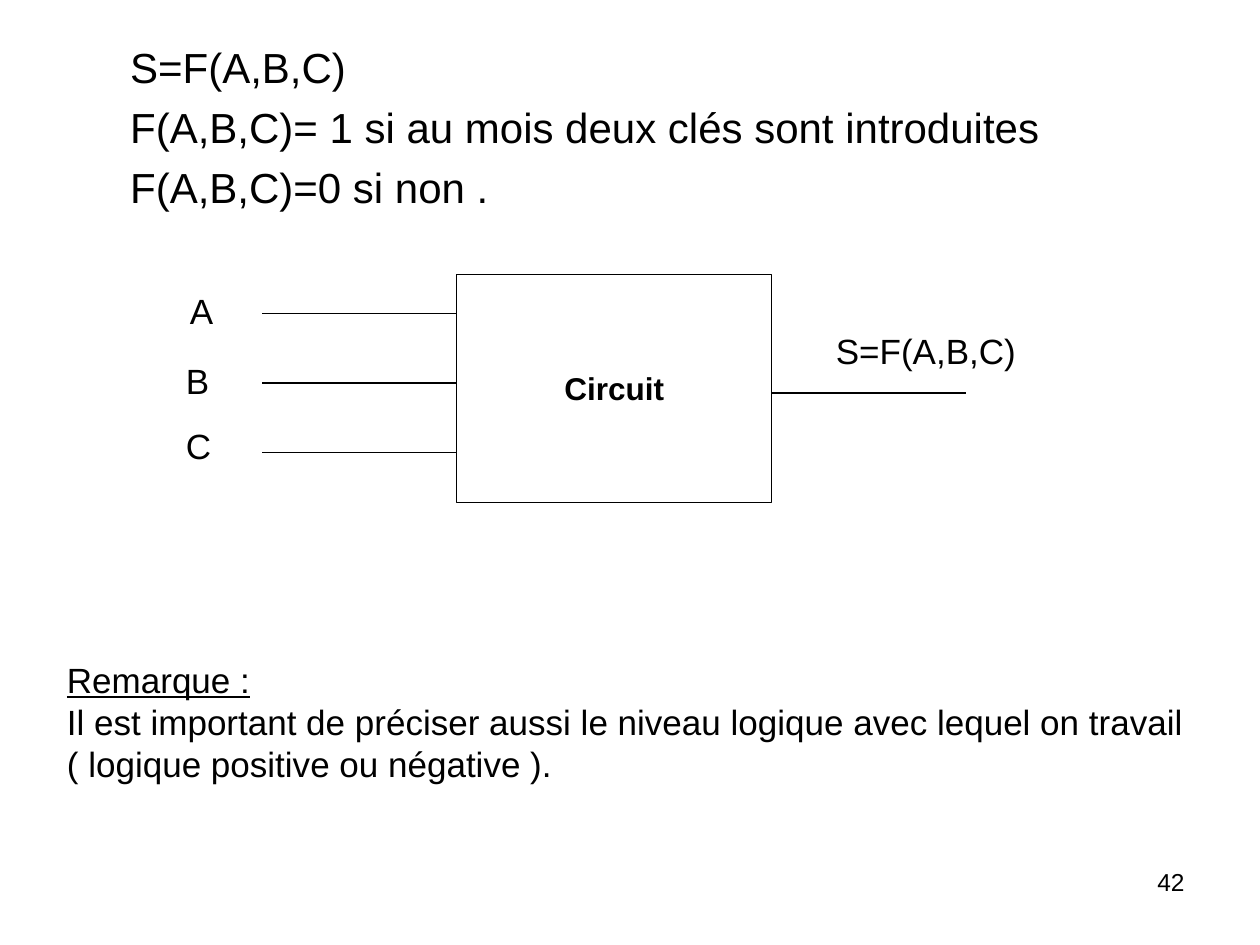
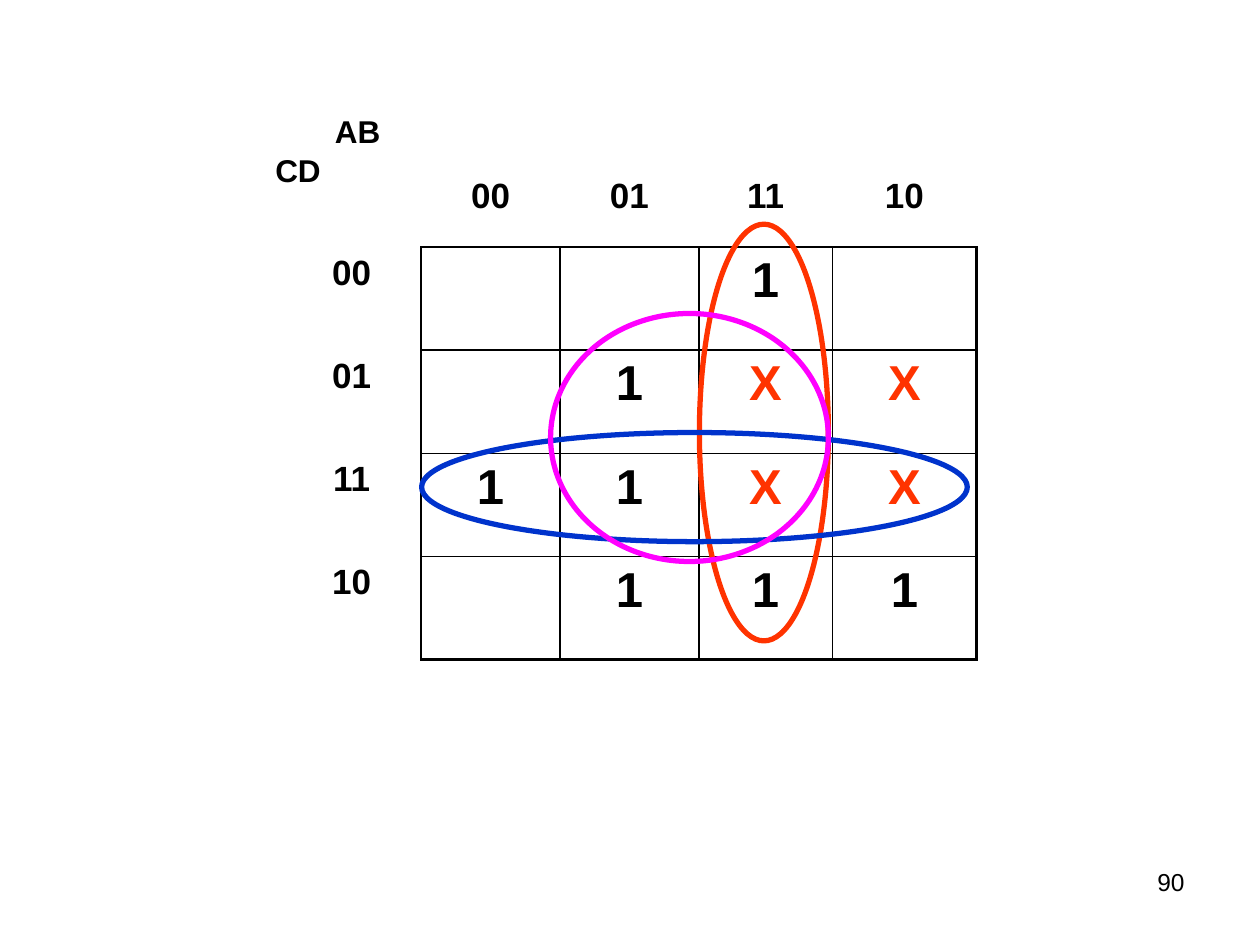
from dataclasses import dataclass

from lxml import etree
from pptx import Presentation
from pptx.dml.color import RGBColor
from pptx.enum.shapes import MSO_CONNECTOR, MSO_SHAPE
from pptx.enum.text import MSO_ANCHOR, PP_ALIGN
from pptx.oxml.ns import qn
from pptx.util import Cm, Pt

LEFT, CENTER, RIGHT = PP_ALIGN.LEFT, PP_ALIGN.CENTER, PP_ALIGN.RIGHT
MIDDLE = MSO_ANCHOR.MIDDLE
STRAIGHT = MSO_CONNECTOR.STRAIGHT
RECTANGLE, OVAL = MSO_SHAPE.RECTANGLE, MSO_SHAPE.OVAL


@dataclass(frozen=True)
class Theme:
    font: str = "Arial"
    ink: RGBColor = RGBColor(0x00, 0x00, 0x00)
    orange: RGBColor = RGBColor(0xFF, 0x33, 0x00)
    blue: RGBColor = RGBColor(0x00, 0x33, 0xCC)
    magenta: RGBColor = RGBColor(0xFF, 0x00, 0xFF)
    value: int = 28
    body: int = 24
    label: int = 20
    caption: int = 18
    footer: int = 14
    wire: float = 0.75
    grid: float = 1
    frame: float = 2.25
    loop: float = 3


theme = Theme()


def write(text_frame, text, size, bold=False, align=LEFT, color=theme.ink):
    text_frame.text = text
    for paragraph in text_frame.paragraphs:
        paragraph.alignment = align
        paragraph.font.name = theme.font
        paragraph.font.size = Pt(size)
        paragraph.font.bold = bold
        paragraph.font.color.rgb = color


def add_label(slide, text, left, top, width, height, size, bold=False,
              align=LEFT, wrap=True):
    frame = slide.shapes.add_textbox(
        Cm(left), Cm(top), Cm(width), Cm(height)).text_frame
    frame.word_wrap = wrap
    write(frame, text, size, bold, align)
    return frame


prs = Presentation()
prs.slide_width, prs.slide_height = Cm(25.4), Cm(19.05)
content_layout, blank_layout = prs.slide_layouts[1], prs.slide_layouts[6]
circuit_slide = prs.slides.add_slide(content_layout)
karnaugh_slide = prs.slides.add_slide(blank_layout)

# Page numbers
for slide, number in ((circuit_slide, "42"), (karnaugh_slide, "90")):
    add_label(slide, number, 18.2, 17.35, 5.93, 1.32, theme.footer, align=RIGHT)

# Definition of the function
title = circuit_slide.shapes.title
title.element.getparent().remove(title.element)
definition = circuit_slide.placeholders[1]
definition.left, definition.top = Cm(1.1), Cm(0.7)
definition.width, definition.height = Cm(22.86), Cm(4.6)
write(definition.text_frame,
      "S=F(A,B,C)\n"
      "F(A,B,C)= 1 si au mois deux clés sont introduites\n"
      "F(A,B,C)=0 si non .", theme.body)
for paragraph in definition.text_frame.paragraphs:
    paragraph.level = 1
    paragraph.space_before = Pt(5.5)
    properties = paragraph._p.get_or_add_pPr()
    properties.set("marL", str(Cm(2.06)))
    properties.set("indent", str(-Cm(0.79)))
    etree.SubElement(properties, qn("a:buNone"))

# Circuit block
circuit = circuit_slide.shapes.add_shape(
    RECTANGLE, Cm(9.21), Cm(5.53), Cm(6.35), Cm(4.6))
circuit.shadow.inherit = False
circuit.fill.background()
circuit.line.color.rgb = theme.ink
circuit.line.width = Pt(theme.wire)
circuit.text_frame.word_wrap = False
circuit.text_frame.vertical_anchor = MIDDLE
write(circuit.text_frame, "Circuit", theme.caption, True, CENTER)

# Input and output wires: start, end, height
wires = [(5.29, 9.21, 6.32 + 1.4 * i) for i in range(3)] + [(15.56, 19.48, 7.92)]
for start, end, y in wires:
    wire = circuit_slide.shapes.add_connector(
        STRAIGHT, Cm(start), Cm(y), Cm(end), Cm(y))
    wire.line.color.rgb = theme.ink
    wire.line.width = Pt(theme.wire)
    etree.SubElement(wire._element.spPr, qn("a:effectLst"))

for name, left, top, width in (("A", 3.58, 5.72, 1.7), ("B", 3.5, 7.13, 1.7),
                               ("C", 3.5, 8.44, 1.7),
                               ("S=F(A,B,C)", 16.6, 6.52, 5.1)):
    add_label(circuit_slide, name, left, top, width, 1.1, theme.label)

# Remark
remark = add_label(
    circuit_slide,
    "Remarque :\n"
    "Il est important de préciser aussi le niveau logique avec lequel on travail\n"
    "( logique positive ou négative ).",
    1.1, 13.14, 23.16, 2.8, theme.label, wrap=False)
remark.paragraphs[0].font.underline = True

# Karnaugh map
codes = ["00", "01", "11", "10"]
values = ["  1 ", " 1XX", "11XX", " 111"]
rows = [[""] + codes] + [[code, *line] for code, line in zip(codes, values)]
widths = [2.8, 2.8, 2.8, 2.69, 2.91]
heights = [2.46] + [2.08] * 4
last = len(rows) - 1
karnaugh = karnaugh_slide.shapes.add_table(
    5, 5, Cm(5.69), Cm(2.52), Cm(sum(widths)), Cm(sum(heights))).table
karnaugh.first_row = karnaugh.horz_banding = False
for i, (width, height) in enumerate(zip(widths, heights)):
    karnaugh.columns[i].width = Cm(width)
    karnaugh.rows[i].height = Cm(height)

for r, row in enumerate(rows):
    for c, text in enumerate(row):
        cell = karnaugh.cell(r, c)
        cell.fill.background()
        in_map = r > 0 and c > 0
        if r == 0:
            cell.margin_top = Cm(1.05)
        if text.strip():
            write(cell.text_frame, text,
                  theme.value if in_map else theme.label, True, CENTER,
                  theme.orange if text == "X" else theme.ink)

        # Borders: thin inside the map, thick on its right and bottom edges
        thin = theme.grid if in_map else 0
        borders = {
            "a:lnL": thin,
            "a:lnR": theme.frame if in_map and c == last
            else theme.grid if r else 0,
            "a:lnT": thin,
            "a:lnB": theme.frame if in_map and r == last
            else theme.grid if c else 0,
        }
        cell_properties = cell._tc.get_or_add_tcPr()
        for position, (side, weight) in enumerate(borders.items()):
            border = etree.Element(qn(side), w=str(Pt(weight)))
            if weight:
                fill = etree.SubElement(border, qn("a:solidFill"))
                etree.SubElement(fill, qn("a:srgbClr"), val=str(theme.ink))
            else:
                etree.SubElement(border, qn("a:noFill"))
            cell_properties.insert(position, border)

# Variable names
add_label(karnaugh_slide, "AB", 6.5, 2.13, 2.8, 1.02, theme.caption, True)
add_label(karnaugh_slide, "CD", 5.3, 2.93, 2.3, 1.02, theme.caption, True)

# Groupings
for color, left, top, width, height in (
        (theme.orange, 14.1, 4.52, 2.6, 8.4),
        (theme.blue, 8.5, 8.72, 11, 2.2),
        (theme.magenta, 11.1, 6.32, 5.6, 5)):
    group_loop = karnaugh_slide.shapes.add_shape(
        OVAL, Cm(left), Cm(top), Cm(width), Cm(height))
    group_loop.shadow.inherit = False
    group_loop.fill.background()
    group_loop.line.color.rgb = color
    group_loop.line.width = Pt(theme.loop)

prs.save("out.pptx")
